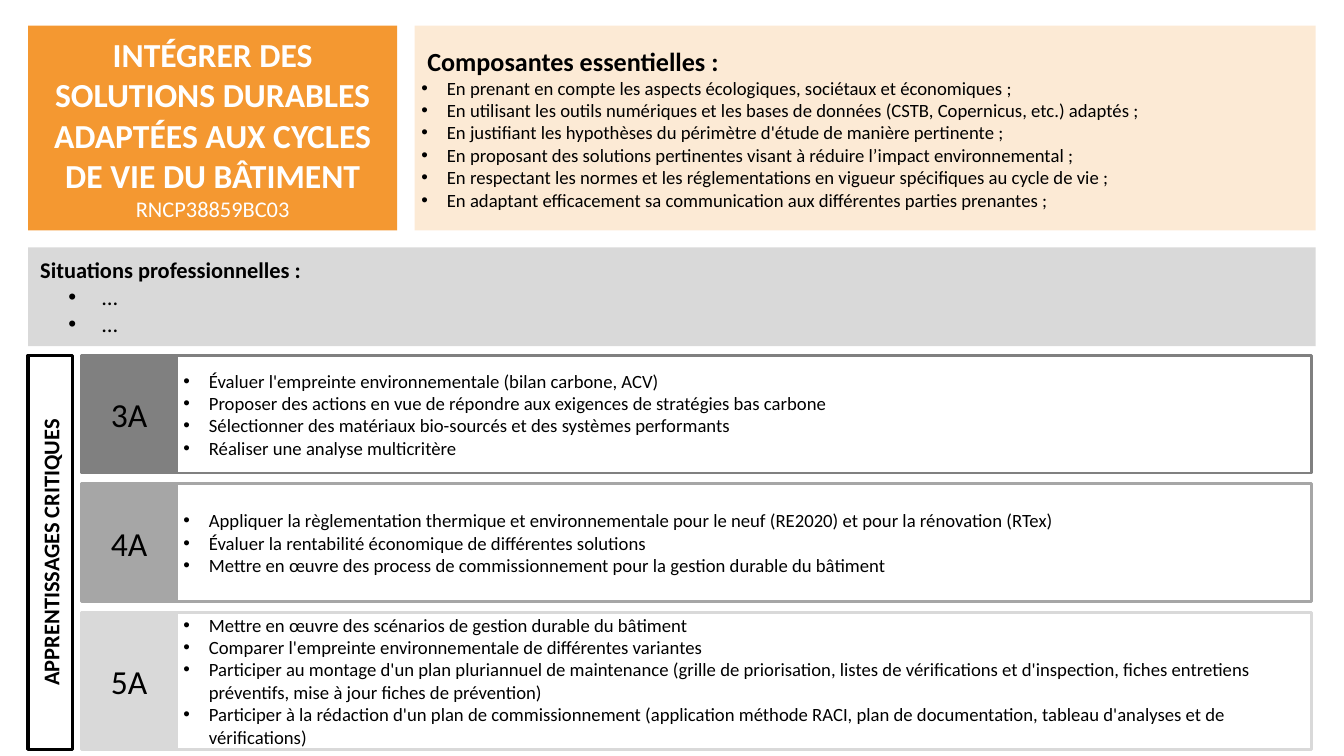
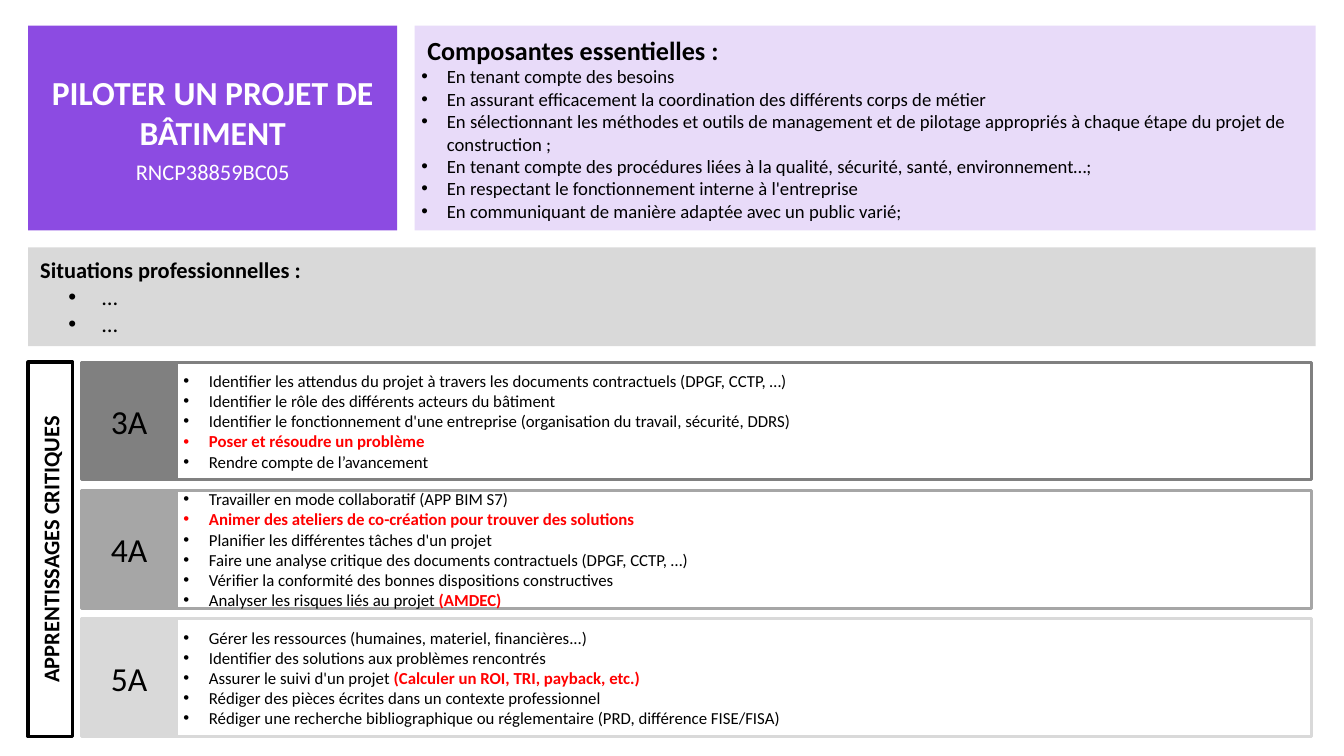
from lxml.etree import SubElement
from pptx import Presentation
from pptx.dml.color import RGBColor
from pptx.enum.shapes import MSO_SHAPE
from pptx.enum.text import MSO_ANCHOR, MSO_AUTO_SIZE, PP_ALIGN
from pptx.oxml.ns import qn
from pptx.util import Inches, Pt

FONT = "Calibri"
COLORS = {
    "white": "FFFFFF", "black": "000000", "red": "FF0000",
    "orange": "F49831", "violet": "8C4BE2", "band": "D9D9D9",
    "3A": "808080", "4A": "A6A6A6", "5A": "D9D9D9",
}
SITUATIONS = ["…", "…"]

# A list item is a string, or a (plain text, red text) pair.
SKILLS = [
    {
        "title": "INTÉGRER DES SOLUTIONS DURABLES ADAPTÉES AUX CYCLES DE VIE DU BÂTIMENT",
        "code": "RNCP38859BC03", "color": "orange", "title_gap": 0,
        "components": [
            "En prenant en compte les aspects écologiques, sociétaux et économiques ;",
            "En utilisant les outils numériques et les bases de données (CSTB, Copernicus, etc.) adaptés ;",
            "En justifiant les hypothèses du périmètre d'étude de manière pertinente ;",
            "En proposant des solutions pertinentes visant à réduire l’impact environnemental ;",
            "En respectant les normes et les réglementations en vigueur spécifiques au cycle de vie ;",
            "En adaptant efficacement sa communication aux différentes parties prenantes ;",
        ],
        "levels_top": 5.29, "levels_size": 20,
        "levels": [
            ("3A", 1.75, [
                "Évaluer l'empreinte environnementale (bilan carbone, ACV)",
                "Proposer des actions en vue de répondre aux exigences de stratégies bas carbone",
                "Sélectionner des matériaux bio-sourcés et des systèmes performants",
                "Réaliser une analyse multicritère",
            ]),
            ("4A", 1.75, [
                "Appliquer la règlementation thermique et environnementale pour le neuf (RE2020) "
                "et pour la rénovation (RTex)",
                "Évaluer la rentabilité économique de différentes solutions",
                "Mettre en œuvre des process de commissionnement pour la gestion durable du bâtiment",
            ]),
            ("5A", 2.04, [
                "Mettre en œuvre des scénarios de gestion durable du bâtiment",
                "Comparer l'empreinte environnementale de différentes variantes",
                "Participer au montage d'un plan pluriannuel de maintenance (grille de priorisation, "
                "listes de vérifications et d'inspection, fiches entretiens préventifs, "
                "mise à jour fiches de prévention)",
                "Participer à la rédaction d'un plan de commissionnement (application méthode RACI, "
                "plan de documentation, tableau d'analyses et de vérifications)",
            ]),
        ],
    },
    {
        "title": "PILOTER UN PROJET DE BÂTIMENT",
        "code": "RNCP38859BC05", "color": "violet", "title_gap": 6,
        "components": [
            "En tenant compte des besoins",
            "En assurant efficacement la coordination des différents corps de métier",
            "En sélectionnant les méthodes et outils de management et de pilotage appropriés "
            "à chaque étape du projet de construction ;",
            "En tenant compte des procédures liées à la qualité, sécurité, santé, environnement…;",
            "En respectant le fonctionnement interne à l'entreprise",
            "En communiquant de manière adaptée avec un public varié;",
        ],
        "levels_top": 5.39, "levels_size": 18,
        "levels": [
            ("3A", 1.75, [
                "Identifier les attendus du projet à travers les documents contractuels (DPGF, CCTP, …)",
                "Identifier le rôle des différents acteurs du bâtiment",
                "Identifier le fonctionnement d'une entreprise (organisation du travail, sécurité, DDRS)",
                ("", "Poser et résoudre un problème"),
                "Rendre compte de l’avancement",
            ]),
            ("4A", 1.75, [
                "Travailler en mode collaboratif (APP BIM S7)",
                ("", "Animer des ateliers de co-création pour trouver des solutions"),
                "Planifier les différentes tâches d'un projet",
                "Faire une analyse critique des documents contractuels (DPGF, CCTP, …)",
                "Vérifier la conformité des bonnes dispositions constructives",
                ("Analyser les risques liés au projet ", "(AMDEC)"),
            ]),
            ("5A", 1.75, [
                "Gérer les ressources (humaines, materiel, financières...)",
                "Identifier des solutions aux problèmes rencontrés",
                ("Assurer le suivi d'un projet ", "(Calculer un ROI, TRI, payback, etc.)"),
                "Rédiger des pièces écrites dans un contexte professionnel",
                "Rédiger une recherche bibliographique ou réglementaire (PRD, différence FISE/FISA)",
            ]),
        ],
    },
]

LEFT, RIGHT, TOP = 0.42, 19.58, 0.38
HEADER_HEIGHT, TITLE_WIDTH, COMPONENTS_LEFT = 3.05, 5.49, 6.17
BAND_TOP, BAND_HEIGHT = 3.68, 1.47
SIDE_WIDTH, LABEL_LEFT, LABEL_WIDTH = 0.66, 1.21, 1.42
PANEL_LEFT, PANEL_RIGHT, LEVEL_GAP = 2.63, 19.52, 0.16


def rgb(name):
    return RGBColor.from_string(COLORS[name])


def add_box(slide, box):
    return slide.shapes.add_shape(MSO_SHAPE.RECTANGLE, *map(Inches, box))


def style_box(shape, fill, line=None, line_width=3, opacity=100):
    shape.shadow.inherit = False
    shape.fill.solid()
    shape.fill.fore_color.rgb = rgb(fill)
    if opacity < 100:
        color = shape.fill._xPr.find(qn("a:solidFill"))[0]
        SubElement(color, qn("a:alpha"), val=str(opacity * 1000))
    if line:
        shape.line.color.rgb = rgb(line)
        shape.line.width = Pt(line_width)
    else:
        shape.line.fill.background()
    frame = shape.text_frame
    for name, value in {"word_wrap": True, "auto_size": MSO_AUTO_SIZE.NONE,
                        "vertical_anchor": MSO_ANCHOR.MIDDLE}.items():
        setattr(frame, name, value)


def place(placeholder, box):
    for name, value in zip(("left", "top", "width", "height"), box):
        setattr(placeholder, name, Inches(value))
    return placeholder


def add_paragraph(shape, item, size, color="black", bold=False, align=PP_ALIGN.LEFT,
                  indent=0, bullet_indent=0, space_after=0):
    """Fill the empty first paragraph, or append one; a bullet hangs by bullet_indent."""
    frame = shape.text_frame
    first = frame.paragraphs[0]
    paragraph = frame.add_paragraph() if first.runs else first
    properties = paragraph._p.get_or_add_pPr()
    properties.set("marL", str(Inches(indent)))
    properties.set("indent", str(-Inches(bullet_indent)))
    if bullet_indent:
        SubElement(properties, qn("a:buFont"), typeface="Arial")
        SubElement(properties, qn("a:buChar"), char="•")
    else:
        SubElement(properties, qn("a:buNone"))
    for name, value in {"alignment": align, "space_before": Pt(0),
                        "space_after": Pt(space_after)}.items():
        setattr(paragraph, name, value)
    plain, red = (item, "") if isinstance(item, str) else item
    for text, run_color, run_bold in ((plain, color, bold), (red, "red", True)):
        if text:
            run = paragraph.add_run()
            run.text = text
            for name, value in {"name": FONT, "size": Pt(size), "bold": run_bold}.items():
                setattr(run.font, name, value)
            run.font.color.rgb = rgb(run_color)


def add_bullets(shape, items, size, indent=0.38, bullet_indent=0.38):
    for item in items:
        add_paragraph(shape, item, size, indent=indent, bullet_indent=bullet_indent)


def add_header(slide, skill):
    title = place(slide.shapes.title, (LEFT, TOP, TITLE_WIDTH, HEADER_HEIGHT))
    style_box(title, skill["color"])
    centred = {"color": "white", "align": PP_ALIGN.CENTER}
    add_paragraph(title, skill["title"], 36, bold=True, space_after=skill["title_gap"], **centred)
    add_paragraph(title, skill["code"], 24, space_after=6, **centred)

    components = place(slide.placeholders[1],
                       (COMPONENTS_LEFT, TOP, RIGHT - COMPONENTS_LEFT, HEADER_HEIGHT))
    style_box(components, skill["color"], opacity=20)
    add_paragraph(components, "Composantes essentielles :", 28, bold=True, indent=0.09)
    add_bullets(components, skill["components"], 20)


def add_situations(slide):
    band = add_box(slide, (LEFT, BAND_TOP, RIGHT - LEFT, BAND_HEIGHT))
    style_box(band, "band")
    add_paragraph(band, "Situations professionnelles :", 24, bold=True, indent=0.08)
    add_bullets(band, SITUATIONS, 24, indent=1, bullet_indent=0.5)


def add_levels(slide, skill):
    top = skill["levels_top"]
    for level, height, items in skill["levels"]:
        panel = add_box(slide, (PANEL_LEFT, top, PANEL_RIGHT - PANEL_LEFT, height))
        style_box(panel, "white", level)
        add_bullets(panel, items, skill["levels_size"])
        label = add_box(slide, (LABEL_LEFT, top, LABEL_WIDTH, height))
        style_box(label, level, level)
        add_paragraph(label, level, 36, align=PP_ALIGN.CENTER)
        top += height + LEVEL_GAP

    bottom = top - LEVEL_GAP
    length = bottom - skill["levels_top"]
    middle = (bottom + skill["levels_top"]) / 2
    side = add_box(slide, (LEFT + (SIDE_WIDTH - length) / 2, middle - SIDE_WIDTH / 2,
                           length, SIDE_WIDTH))
    side.rotation = 270
    style_box(side, "white", "black", 3.75)
    add_paragraph(side, "APPRENTISSAGES CRITIQUES", 24, bold=True, align=PP_ALIGN.CENTER)


def main():
    presentation = Presentation()
    presentation.slide_width, presentation.slide_height = Inches(20), Inches(11.25)
    for skill in SKILLS:
        slide = presentation.slides.add_slide(presentation.slide_layouts[1])
        add_header(slide, skill)
        add_situations(slide)
        add_levels(slide, skill)
    presentation.save("out.pptx")


if __name__ == "__main__":
    main()
